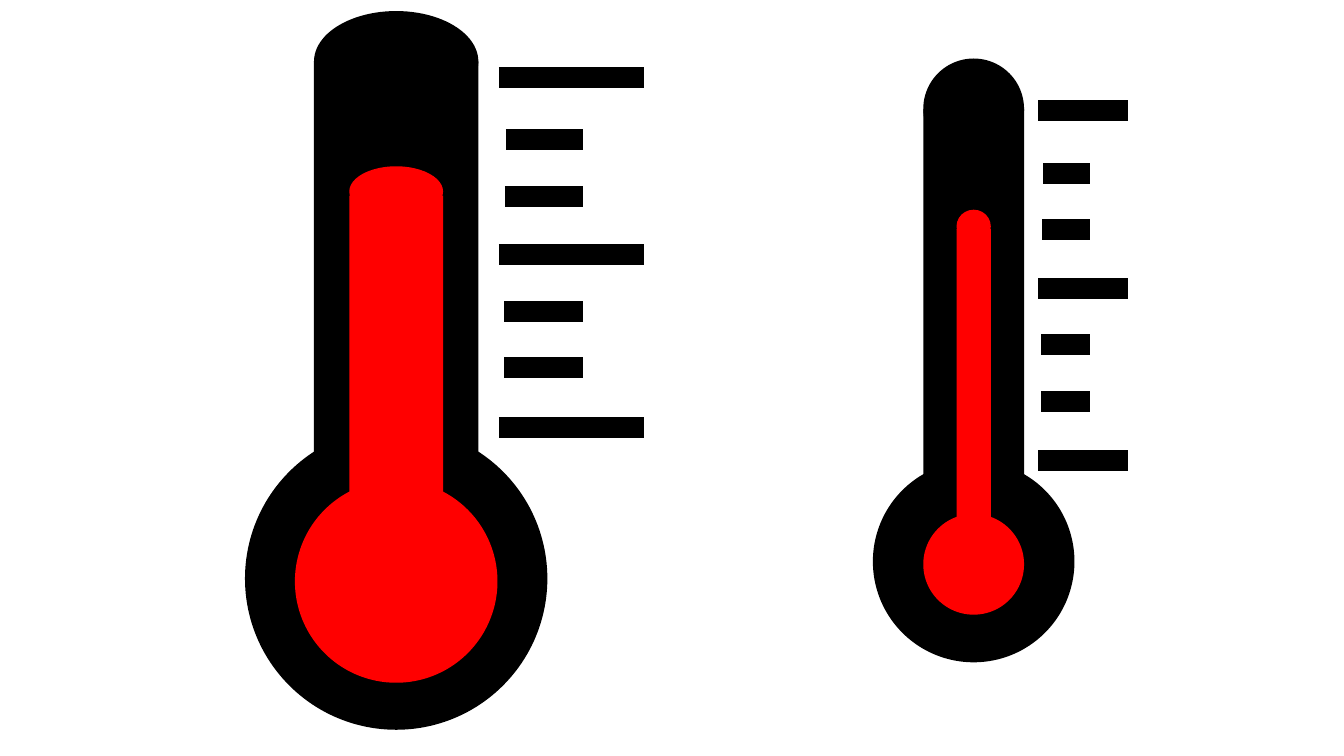
from pptx import Presentation
from pptx.dml.color import RGBColor
from pptx.enum.shapes import MSO_CONNECTOR as CONN, MSO_SHAPE as SHAPE
from pptx.oxml.ns import qn
from pptx.util import Pt

BLACK, RED = "000000", "FF0000"
TICKS = [(0, 0), (44.6, 1.4), (85, 0.7), (126.7, 0), (167, 0), (207.4, 0), (249.8, 0)]
THERMOMETERS = [
    dict(box=(623.5, 41.8, 144, 431.3), tube_w=72, bulb_d=72, fluid_w=24.5, fluid_cap=23.8,
         fluid_top=108, scale=(118.1, 37.4, 64)),
    dict(box=(175, 7.9, 216, 513.4), tube_w=117.4, bulb_d=144.7, fluid_w=67, fluid_cap=36,
         fluid_top=110.9, scale=(181.4, 47.5, 103.7)),
]


def rgb(color):
    """Turn a hex string into a colour."""
    return RGBColor.from_string(color)


def add_part(s, kind, center, y, w, h, color):
    """Add a plain filled shape centred on a vertical axis."""
    sp = s.shapes.add_shape(kind, Pt(center - w / 2), Pt(y), Pt(w), Pt(h))
    sp.shadow.inherit = False
    sp.fill.solid()
    sp.fill.fore_color.rgb = rgb(color)
    sp.line.fill.background()


def add_scale(s, x, y, long_w):
    """Add seven tick marks, every third one long."""
    for i, (dy, shift) in enumerate(TICKS):
        is_long = i % 3 == 0
        x1 = x if is_long else x + 0.035 * long_w + shift
        x2 = x + long_w if is_long else x + 0.58 * long_w
        tick = s.shapes.add_connector(CONN.STRAIGHT, Pt(x1), Pt(y + dy), Pt(x2), Pt(y + dy))
        tick.line.color.rgb = rgb(BLACK)
        tick.line.width = Pt(15)
        sp_pr = tick._element.spPr
        sp_pr.append(sp_pr.makeelement(qn("a:effectLst"), {}))


def add_thermometer(s, box, tube_w, bulb_d, fluid_w, fluid_cap, fluid_top, scale):
    """Draw a thermometer and its scale relative to the box of its glass."""
    x, y, w, h = box
    center = x + w / 2
    bulb_y = y + h - w / 2
    fluid_y = y + fluid_top
    add_part(s, SHAPE.OVAL, center, y, tube_w, 72, BLACK)
    add_part(s, SHAPE.OVAL, center, y + h - w, w, w, BLACK)
    add_part(s, SHAPE.RECTANGLE, center, y + 36, tube_w, 334.8, BLACK)
    add_part(s, SHAPE.OVAL, center, bulb_y - bulb_d / 2 + 2, bulb_d, bulb_d, RED)
    add_part(s, SHAPE.RECTANGLE, center, fluid_y + 0.58 * fluid_cap, fluid_w, 250.6, RED)
    add_part(s, SHAPE.OVAL, center, fluid_y, fluid_w, fluid_cap, RED)
    scale_x, scale_y, long_w = scale
    add_scale(s, x + scale_x, y + scale_y, long_w)


def main():
    """Build the slide with both thermometers."""
    prs = Presentation()
    prs.slide_width, prs.slide_height = Pt(960), Pt(540)
    s = prs.slides.add_slide(prs.slide_layouts[6])
    for thermometer in THERMOMETERS:
        add_thermometer(s, **thermometer)
    prs.save("out.pptx")


if __name__ == "__main__":
    main()
